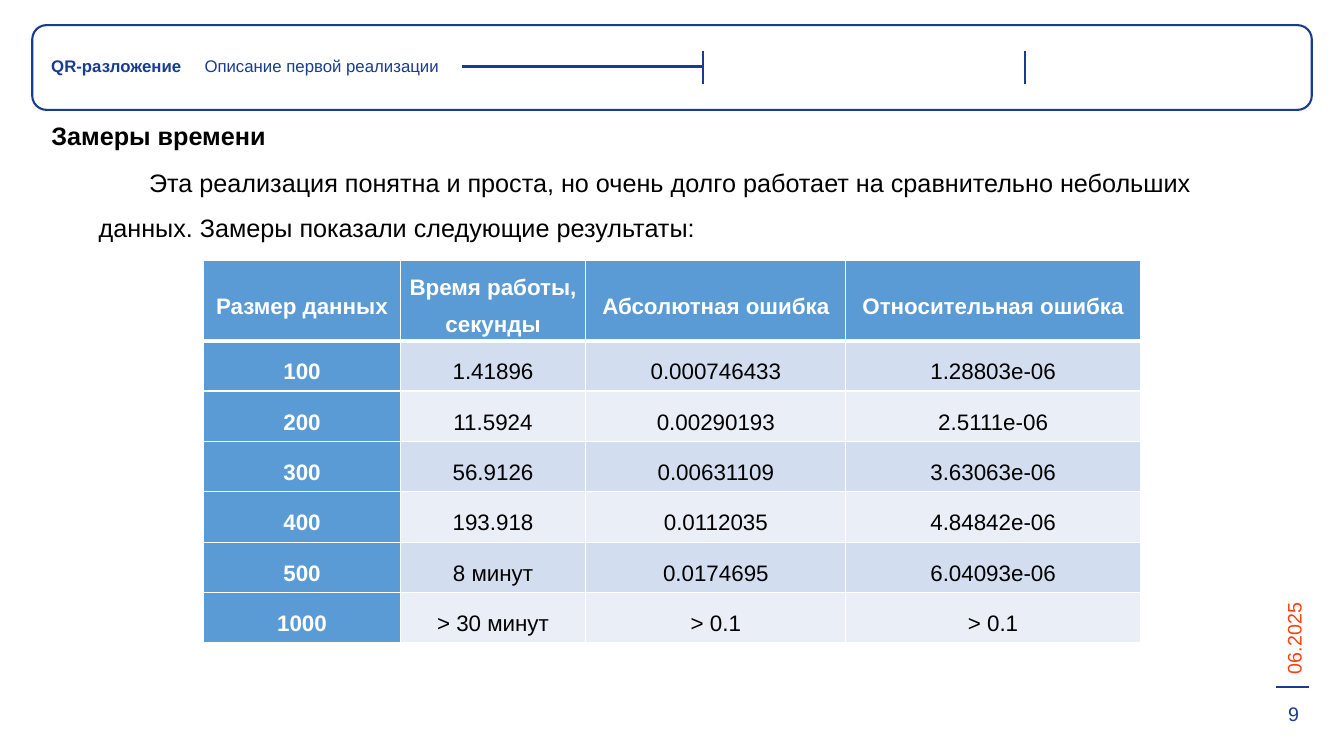
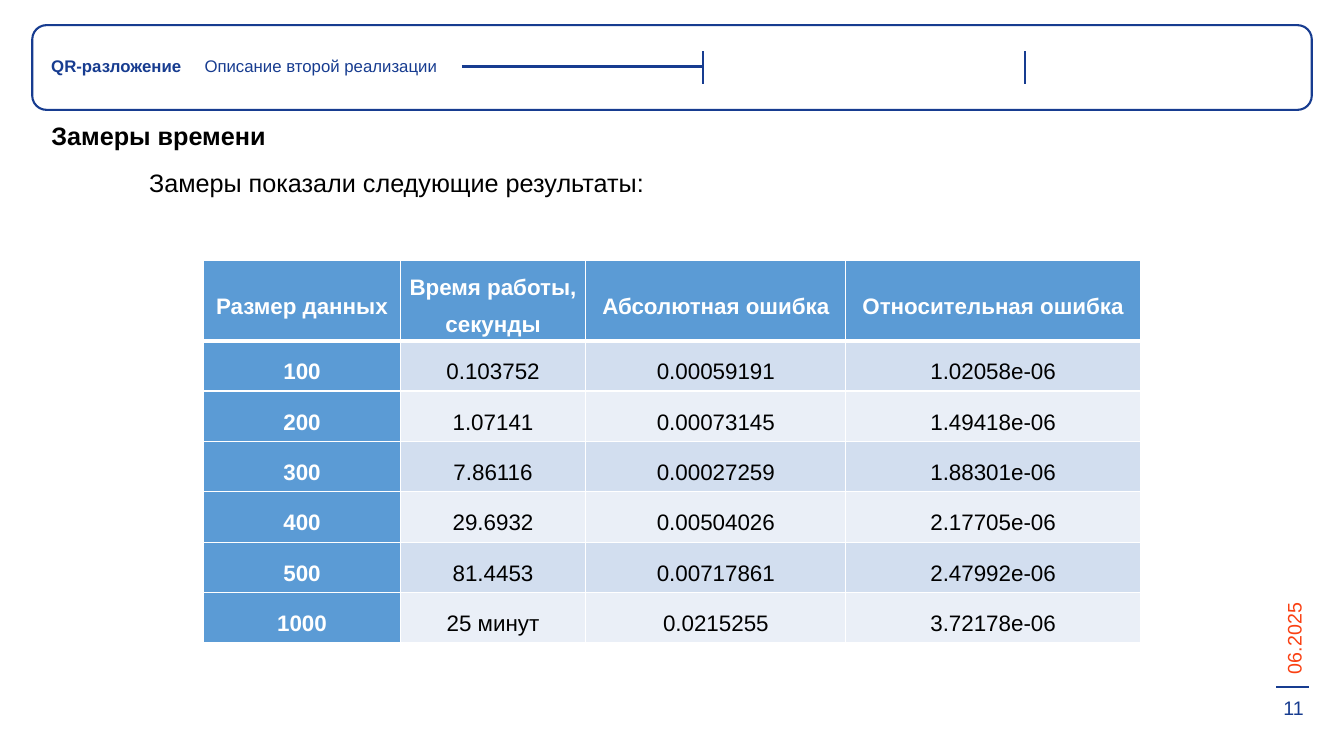
from dataclasses import dataclass

import lxml.etree
import pptx
import pptx.dml.color
import pptx.enum.shapes
import pptx.enum.text
import pptx.oxml.ns
import pptx.presentation
import pptx.shapes.autoshape
import pptx.slide
import pptx.table
import pptx.text.text
import pptx.util
from pptx.util import Inches

FONT = "Arial"
NAVY = "173C90"
ORANGE = "FA4012"
BLACK = "000000"
WHITE = "FFFFFF"
HEADER_BLUE = "5B9BD5"
BANDS = ("D2DEEF", "EAEFF7")

LEFT = pptx.enum.text.PP_ALIGN.LEFT
CENTER = pptx.enum.text.PP_ALIGN.CENTER

TABLE_LEFT, TABLE_TOP = 2.02, 2.58
COLUMN_WIDTHS = (1.95, 1.84, 2.58, 2.92)
HEADER_HEIGHT, ROW_HEIGHT = 0.77, 0.5
TABLE_HEADER = ("Размер данных", "Время работы, секунды", "Абсолютная ошибка", "Относительная ошибка")
PAGE_NUMBER_CENTER = 12.83


@dataclass(frozen=True)
class Box:
    left: float
    top: float
    width: float
    height: float


@dataclass(frozen=True)
class TextStyle:
    size: float
    color: str
    bold: bool = False
    align: pptx.enum.text.PP_ALIGN = LEFT


@dataclass(frozen=True)
class Line:
    x1: float
    y1: float
    x2: float
    y2: float


@dataclass(frozen=True)
class TimingSlide:
    section: str
    intro: str
    intro_height: float
    rows: tuple[tuple[str, ...], ...]
    page_number: str
    page_number_top: float


TITLE_STYLE = TextStyle(18, BLACK, bold=True)
INTRO_STYLE = TextStyle(18, BLACK)
TOPIC_STYLE = TextStyle(12, NAVY, bold=True)
SECTION_STYLE = TextStyle(12, NAVY)
DATE_STYLE = TextStyle(14, ORANGE)
PAGE_NUMBER_STYLE = TextStyle(14, NAVY, align=CENTER)
HEADING_CELL_STYLE = TextStyle(16, WHITE, bold=True, align=CENTER)
VALUE_CELL_STYLE = TextStyle(16, BLACK, align=CENTER)

FRAME_LINES = (
    Line(4.58, 0.66, 6.97, 0.66),
    Line(6.97, 0.51, 6.97, 0.83),
    Line(10.17, 0.51, 10.17, 0.83),
    Line(12.66, 6.82, 12.98, 6.82),
)

SLIDES = (
    TimingSlide(
        section="Описание первой реализации",
        intro="Эта реализация понятна и проста, но очень долго работает на сравнительно "
        "небольших данных. Замеры показали следующие результаты:",
        intro_height=0.96,
        rows=(
            ("100", "1.41896", "0.000746433", "1.28803e-06"),
            ("200", "11.5924", "0.00290193", "2.5111e-06"),
            ("300", "56.9126", "0.00631109", "3.63063e-06"),
            ("400", "193.918", "0.0112035", "4.84842e-06"),
            ("500", "8 минут", "0.0174695", "6.04093e-06"),
            ("1000", "> 30 минут", "> 0.1", "> 0.1"),
        ),
        page_number="9",
        page_number_top=6.91,
    ),
    TimingSlide(
        section="Описание второй реализации",
        intro="Замеры показали следующие результаты:",
        intro_height=0.56,
        rows=(
            ("100", "0.103752", "0.00059191", "1.02058e-06"),
            ("200", "1.07141", "0.00073145", "1.49418e-06"),
            ("300", "7.86116", "0.00027259", "1.88301e-06"),
            ("400", "29.6932", "0.00504026", "2.17705e-06"),
            ("500", "81.4453", "0.00717861", "2.47992e-06"),
            ("1000", "25 минут", "0.0215255", "3.72178e-06"),
        ),
        page_number="11",
        page_number_top=6.86,
    ),
)


def rgb(color: str) -> pptx.dml.color.RGBColor:
    return pptx.dml.color.RGBColor.from_string(color)


def lengths(box: Box) -> tuple[pptx.util.Length, ...]:
    return Inches(box.left), Inches(box.top), Inches(box.width), Inches(box.height)


def write(frame: pptx.text.text.TextFrame, text: str, style: TextStyle) -> pptx.text.text._Paragraph:
    """Put one styled run into the first paragraph and return that paragraph."""
    paragraph = frame.paragraphs[0]
    paragraph.alignment = style.align
    run = paragraph.add_run()
    run.text = text
    run.font.name = FONT
    run.font.size = pptx.util.Pt(style.size)
    run.font.bold = style.bold
    run.font.color.rgb = rgb(style.color)
    return paragraph


def add_text(slide: pptx.slide.Slide, box: Box, text: str, style: TextStyle) -> pptx.shapes.autoshape.Shape:
    shape = slide.shapes.add_textbox(*lengths(box))
    shape.text_frame.word_wrap = True
    shape.text_frame.auto_size = pptx.enum.text.MSO_AUTO_SIZE.SHAPE_TO_FIT_TEXT
    write(shape.text_frame, text, style)
    return shape


def add_line(slide: pptx.slide.Slide, line: Line) -> None:
    connector = slide.shapes.add_connector(
        pptx.enum.shapes.MSO_CONNECTOR.STRAIGHT,
        Inches(line.x1), Inches(line.y1), Inches(line.x2), Inches(line.y2),
    )
    connector.line.color.rgb = rgb(NAVY)
    connector.line.width = pptx.util.Pt(1.5)
    lxml.etree.SubElement(connector._element.spPr, pptx.oxml.ns.qn("a:effectLst"))


def set_title(slide: pptx.slide.Slide, text: str) -> None:
    title = slide.shapes.title
    title.left, title.top, title.width, title.height = lengths(Box(0.41, 1.14, 8.31, 0.4))
    title.text_frame.vertical_anchor = pptx.enum.text.MSO_ANCHOR.TOP
    title.text_frame.auto_size = pptx.enum.text.MSO_AUTO_SIZE.NONE
    write(title.text_frame, text, TITLE_STYLE)


def add_frame(slide: pptx.slide.Slide, content: TimingSlide) -> None:
    """Draw the header band, the date and the page number."""
    band = slide.shapes.add_shape(
        pptx.enum.shapes.MSO_SHAPE.ROUNDED_RECTANGLE, *lengths(Box(0.32, 0.25, 12.69, 0.84))
    )
    band.shadow.inherit = False
    band.fill.solid()
    band.fill.fore_color.rgb = rgb(WHITE)
    band.line.color.rgb = rgb(NAVY)
    band.line.width = pptx.util.Pt(1.5)

    add_text(slide, Box(0.41, 0.5, 1.75, 0.3), "QR-разложение", TOPIC_STYLE)
    add_text(slide, Box(1.93, 0.5, 2.69, 0.3), content.section, SECTION_STYLE)
    for line in FRAME_LINES:
        add_line(slide, line)

    date = add_text(slide, Box(12.23, 6.01, 1.21, 0.34), "06.2025", DATE_STYLE)
    date.rotation = 270
    number_box = Box(PAGE_NUMBER_CENTER - 0.25, content.page_number_top, 0.5, 0.34)
    add_text(slide, number_box, content.page_number, PAGE_NUMBER_STYLE)


def add_intro(slide: pptx.slide.Slide, content: TimingSlide) -> None:
    shape = add_text(slide, Box(0.88, 1.46, 11.58, content.intro_height), content.intro, INTRO_STYLE)
    paragraph = shape.text_frame.paragraphs[0]
    paragraph.line_spacing = 1.5
    paragraph.space_after = pptx.util.Pt(6)
    properties = paragraph._p.get_or_add_pPr()
    properties.set("marL", "0")
    properties.set("indent", str(Inches(0.5)))


def set_border(cell: pptx.table._Cell, side: str, width: float) -> None:
    """Give one side of a cell (L, R, T or B) a white line."""
    qn = pptx.oxml.ns.qn
    properties = cell._tc.get_or_add_tcPr()
    border = lxml.etree.SubElement(properties, qn(f"a:ln{side}"), w=str(pptx.util.Pt(width)))
    fill = lxml.etree.SubElement(border, qn("a:solidFill"))
    lxml.etree.SubElement(fill, qn("a:srgbClr"), val=WHITE)


def fill_cell(cell: pptx.table._Cell, text: str, row: int, column: int) -> None:
    is_heading = row == 0 or column == 0
    for side in "LRTB":
        under_header = (row, side) in ((0, "B"), (1, "T"))
        set_border(cell, side, 3 if under_header else 1)
    cell.fill.solid()
    cell.fill.fore_color.rgb = rgb(HEADER_BLUE if is_heading else BANDS[(row - 1) % 2])
    cell.vertical_anchor = pptx.enum.text.MSO_ANCHOR.MIDDLE
    cell.margin_left = cell.margin_right = Inches(0.07)
    cell.margin_top = cell.margin_bottom = Inches(0)
    paragraph = write(cell.text_frame, text, HEADING_CELL_STYLE if is_heading else VALUE_CELL_STYLE)
    paragraph.line_spacing = 1.5
    paragraph.space_after = pptx.util.Pt(10)


def add_timing_table(slide: pptx.slide.Slide, rows: tuple[tuple[str, ...], ...]) -> None:
    box = Box(TABLE_LEFT, TABLE_TOP, sum(COLUMN_WIDTHS), HEADER_HEIGHT + ROW_HEIGHT * len(rows))
    table = slide.shapes.add_table(len(rows) + 1, len(COLUMN_WIDTHS), *lengths(box)).table
    table.first_col = True
    table.horz_banding = False
    for column, width in zip(table.columns, COLUMN_WIDTHS):
        column.width = Inches(width)
    for row_index, texts in enumerate((TABLE_HEADER, *rows)):
        table.rows[row_index].height = Inches(ROW_HEIGHT if row_index else HEADER_HEIGHT)
        for column_index, text in enumerate(texts):
            fill_cell(table.cell(row_index, column_index), text, row_index, column_index)


def add_timing_slide(presentation: pptx.presentation.Presentation, content: TimingSlide) -> None:
    title_only = presentation.slide_layouts.get_by_name("Title Only")
    slide = presentation.slides.add_slide(title_only)
    set_title(slide, "Замеры времени")
    add_frame(slide, content)
    add_intro(slide, content)
    add_timing_table(slide, content.rows)


def main() -> None:
    presentation = pptx.Presentation()
    presentation.slide_width = Inches(13.33)
    presentation.slide_height = Inches(7.5)
    for content in SLIDES:
        add_timing_slide(presentation, content)
    presentation.save("out.pptx")


if __name__ == "__main__":
    main()
